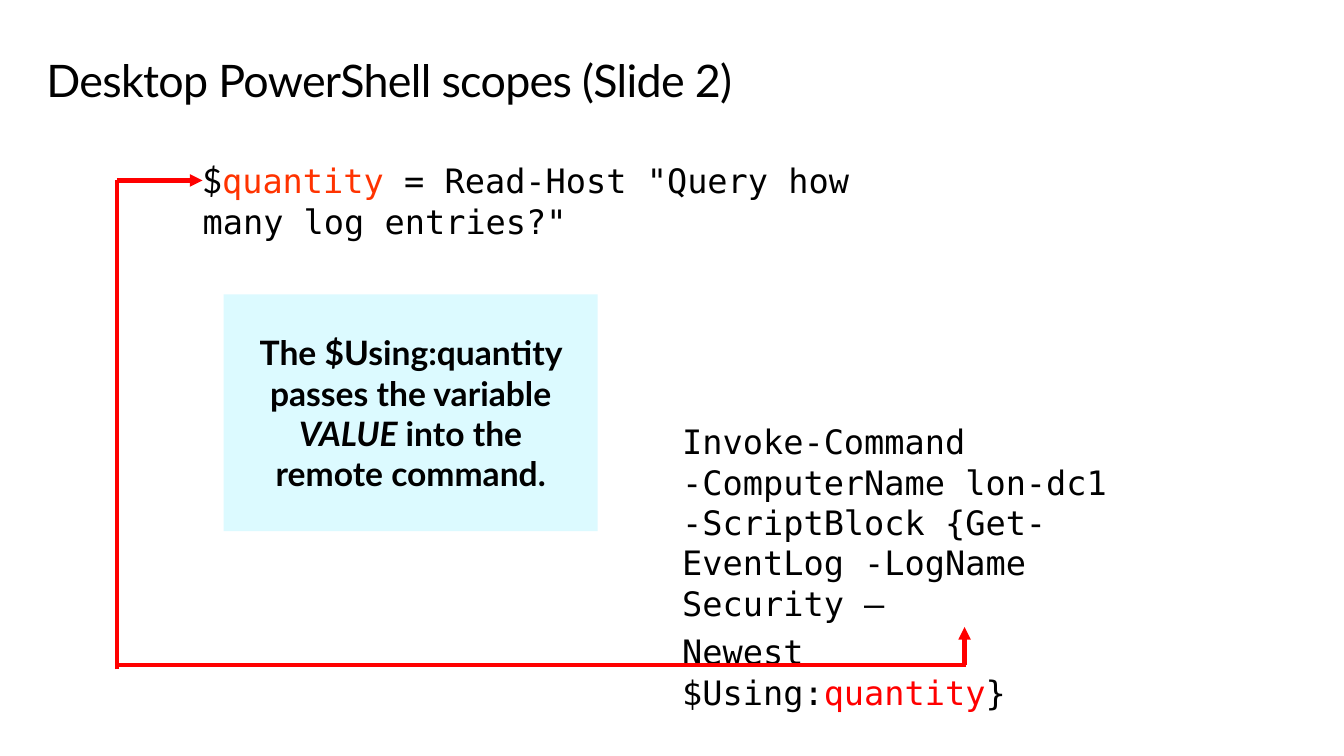
from dataclasses import dataclass

from lxml import etree
from pptx import Presentation
from pptx.dml.color import RGBColor
from pptx.enum.shapes import MSO_CONNECTOR, MSO_SHAPE
from pptx.enum.text import MSO_ANCHOR, MSO_AUTO_SIZE, PP_ALIGN
from pptx.oxml.ns import qn
from pptx.util import Pt

STRAIGHT = MSO_CONNECTOR.STRAIGHT
RECT = MSO_SHAPE.RECTANGLE
TOP, MIDDLE = MSO_ANCHOR.TOP, MSO_ANCHOR.MIDDLE
FIXED, GROW = MSO_AUTO_SIZE.NONE, MSO_AUTO_SIZE.SHAPE_TO_FIT_TEXT
LEFT, CENTER = PP_ALIGN.LEFT, PP_ALIGN.CENTER
TITLE_ONLY = 5


@dataclass(frozen=True)
class Theme:
    ink: str = "000000"
    red: str = "FF0000"
    orange: str = "FF3300"
    panel: str = "DCFAFF"
    sans: str = "Lato"
    mono: str = "DejaVu Sans Mono"
    head: int = 32
    body: int = 24
    line: int = 3


THEME = Theme()


def color(code):
    return RGBColor.from_string(code)


def write(shape, paras, font=THEME.mono, size=THEME.body, bold=False,
          align=LEFT, anchor=TOP, fit=FIXED, inset=(0, 0, 0, 0),
          before=0, lead=None, track=None):
    """Fill a shape with paragraphs, each a list of (text, changes) runs."""
    frame = shape.text_frame
    frame.word_wrap = True
    frame.auto_size = fit
    frame.vertical_anchor = anchor
    (frame.margin_left, frame.margin_top,
     frame.margin_right, frame.margin_bottom) = map(Pt, inset)
    for i, runs in enumerate(paras):
        para = frame.add_paragraph() if i else frame.paragraphs[0]
        para.alignment = align
        para.space_before = Pt(before)
        para.line_spacing = lead
        for text, look in runs:
            run = para.add_run()
            run.text = text
            run.font.name = look.get("font", font)
            run.font.size = Pt(size)
            run.font.bold = bold
            run.font.italic = look.get("italic", False)
            run.font.color.rgb = color(look.get("color", THEME.ink))
            if track is not None:
                run.font._element.set("spc", str(round(track * 100)))


def add_title(slide, text, box):
    title = slide.shapes.title
    title.left, title.top, title.width, title.height = map(Pt, box)
    write(title, [[(text, {})]], font=THEME.sans, size=THEME.head,
          inset=(0, 7.2, 11.5, 7.2), lead=0.9, track=-0.5)


def add_code(slide, box, paras, **look):
    write(slide.shapes.add_textbox(*map(Pt, box)), paras, before=6, **look)


def add_panel(slide, box, runs):
    panel = slide.shapes.add_shape(RECT, *map(Pt, box))
    panel.shadow.inherit = False
    panel.fill.solid()
    panel.fill.fore_color.rgb = color(THEME.panel)
    panel.line.fill.background()
    write(panel, [runs], font=THEME.sans, bold=True, align=CENTER,
          anchor=MIDDLE, inset=(14.4, 3.6, 14.4, 3.6))


def add_line(slide, start, end, arrow=False):
    line = slide.shapes.add_connector(STRAIGHT, *map(Pt, (*start, *end)))
    line.line.color.rgb = color(THEME.red)
    line.line.width = Pt(THEME.line)
    if arrow:
        etree.SubElement(line.line._get_or_add_ln(), qn("a:tailEnd"),
                         type="triangle")
    etree.SubElement(line._element.spPr, qn("a:effectLst"))


def main():
    deck = Presentation()
    deck.slide_width, deck.slide_height = Pt(960), Pt(540)
    slide = deck.slides.add_slide(deck.slide_layouts[TITLE_ONLY])

    add_title(slide, "Desktop PowerShell scopes (Slide 2)",
              (33.1, 34.6, 892.8, 53.3))

    code_x = 144.7
    add_code(slide, (code_x, 114.5, 517.7, 81.4), [[
        ("$", {"font": THEME.sans}),
        ("quantity", {"color": THEME.orange}),
        (' = Read-Host "Query how many log entries?"', {}),
    ]])
    add_panel(slide, (159.8, 210.2, 267.1, 169.2), [
        ("The $Using:quantity passes the variable ", {}),
        ("VALUE", {"italic": True}),
        (" into the remote command.", {}),
    ])
    add_code(slide, (480.2, 297.4, 346.3, 158.4), [
        [("Invoke-Command -ComputerName lon-dc1 -ScriptBlock "
          "{Get-EventLog -LogName Security –", {})],
        [("Newest $Using:", {}),
         ("quantity", {"color": THEME.red}),
         ("}", {})],
    ], fit=GROW, inset=(7.2, 3.6, 7.2, 3.6))

    left, right, top, base = 83.5, 689, 128.9, 475.2
    add_line(slide, (left, base), (right + 0.7, base))
    add_line(slide, (left, base + 2.9), (left, top))
    add_line(slide, (right, base), (right, 447.8), arrow=True)
    add_line(slide, (left, top), (code_x, top), arrow=True)

    deck.save("out.pptx")


if __name__ == "__main__":
    main()
